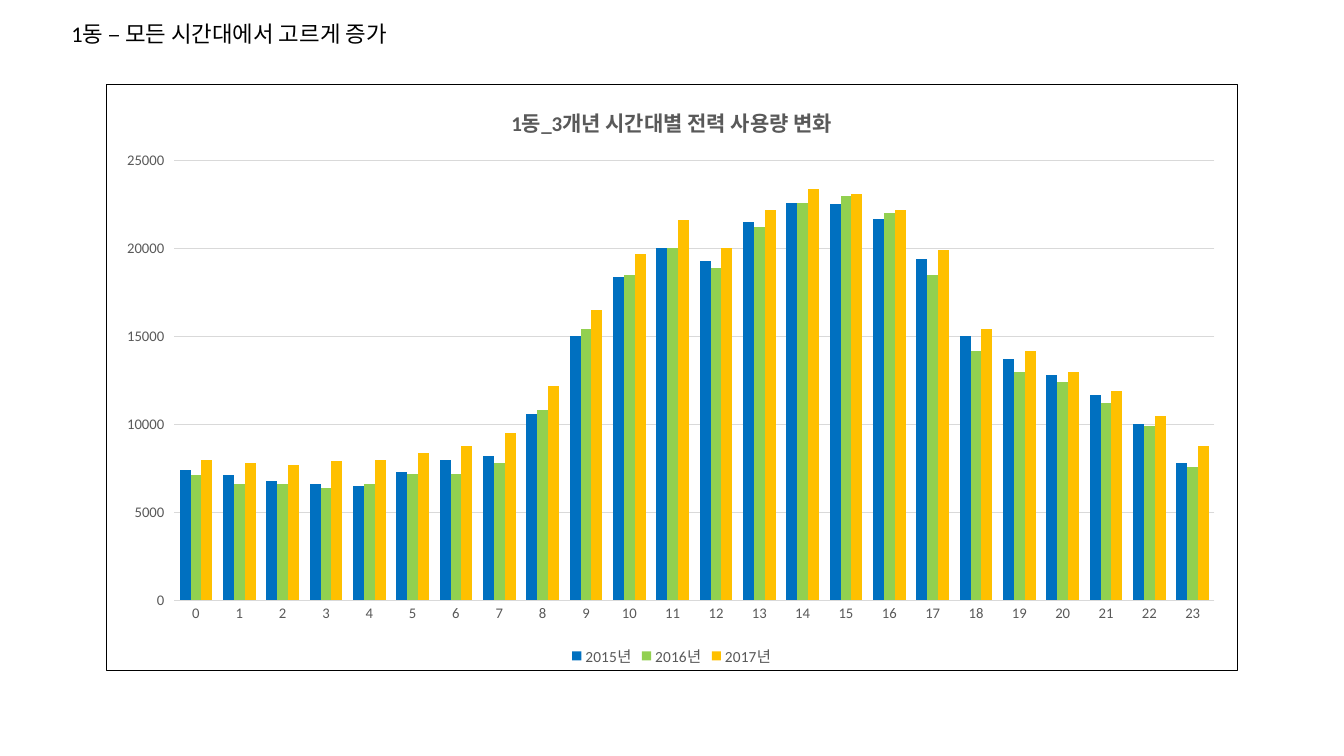
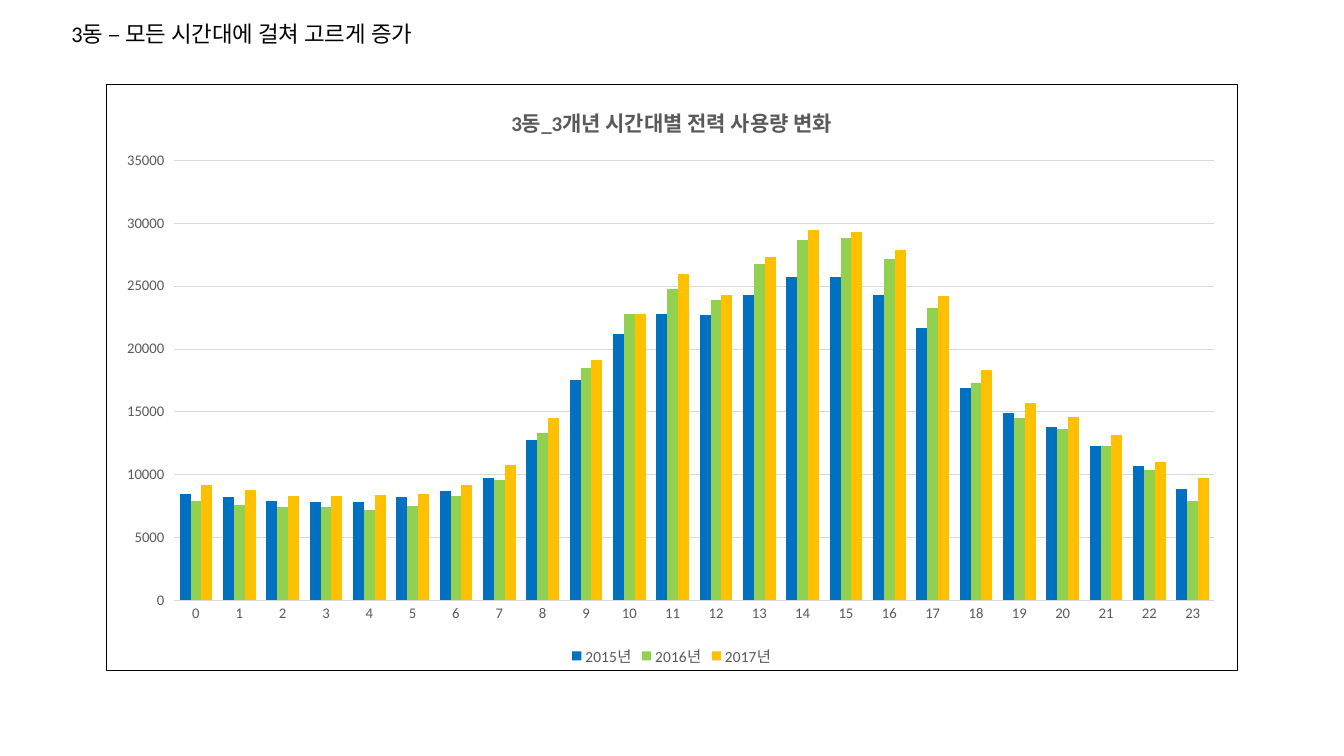
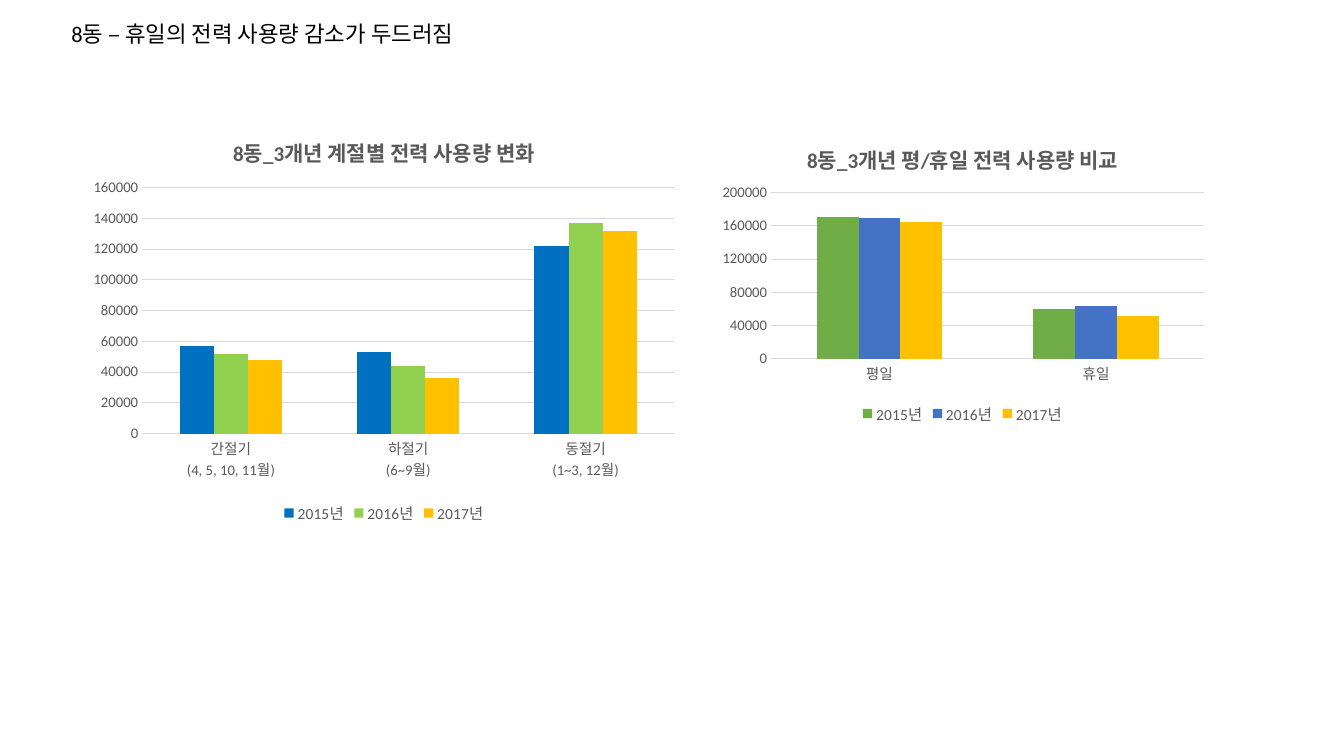
import lxml.etree
import pptx
import pptx.chart.data
import pptx.dml.color
import pptx.enum.chart
import pptx.enum.text
import pptx.oxml
import pptx.oxml.ns
import pptx.util

Cm = pptx.util.Cm
Pt = pptx.util.Pt
qn = pptx.oxml.ns.qn
TickMark = pptx.enum.chart.XL_TICK_MARK


def color(hex_text):
    return pptx.dml.color.RGBColor.from_string(hex_text)


def apply(target, values):
    for name, value in values.items():
        setattr(target, name, value)


class Deck:
    FACE = "Calibri"
    INK = "000000"
    GRAY = "595959"
    RULE = "D9D9D9"
    YEARS = ("2015년", "2016년", "2017년")
    YEAR_COLORS = ("0070C0", "92D050", "FFC000")

    def __init__(self):
        self.presentation = pptx.Presentation()
        apply(self.presentation, {"slide_width": Cm(33.87), "slide_height": Cm(19.05)})
        self.slide = None

    def style_font(self, font, size, ink, bold=False):
        apply(font, {"name": self.FACE, "size": Pt(size), "bold": bold})
        font.color.rgb = color(ink)

    def style_line(self, line):
        line.width = Pt(0.75)
        line.color.rgb = color(self.RULE)

    def add_slide(self, heading, heading_width):
        self.slide = self.presentation.slides.add_slide(self.presentation.slide_layouts[6])
        box = self.slide.shapes.add_textbox(Cm(1.55), Cm(0.38), Cm(heading_width), Cm(0.94))
        frame = box.text_frame
        apply(frame, {"word_wrap": False,
                      "auto_size": pptx.enum.text.MSO_AUTO_SIZE.SHAPE_TO_FIT_TEXT})
        run = frame.paragraphs[0].add_run()
        run.text = heading
        self.style_font(run.font, 16, self.INK)

    def add_usage_chart(self, place, title, categories, usage, plot_place, gap=219,
                        colors=YEAR_COLORS, tick=TickMark.NONE, step=None, border=None):
        chart_data = pptx.chart.data.CategoryChartData()
        chart_data.categories = categories
        for year, values in zip(self.YEARS, usage):
            chart_data.add_series(year, values)
        chart = self.slide.shapes.add_chart(
            pptx.enum.chart.XL_CHART_TYPE.COLUMN_CLUSTERED,
            *(Cm(length) for length in place), chart_data).chart
        self.style_font(chart.font, 10, self.INK)
        apply(chart, {"has_title": True, "has_legend": True})

        title_run = chart.chart_title.text_frame.paragraphs[0].add_run()
        title_run.text = title
        self.style_font(title_run.font, 15, self.GRAY, bold=True)

        apply(chart.legend, {"position": pptx.enum.chart.XL_LEGEND_POSITION.BOTTOM,
                             "include_in_layout": False})
        self.style_font(chart.legend.font, 11, self.GRAY)

        hours, power = chart.category_axis, chart.value_axis
        for axis in (hours, power):
            apply(axis, {"major_tick_mark": TickMark.NONE, "minor_tick_mark": TickMark.NONE})
            self.style_font(axis.tick_labels.font, 10.5, self.GRAY)
        self.style_line(hours.format.line)
        apply(power, {"major_tick_mark": tick, "has_major_gridlines": True,
                      "major_unit": step})
        power.format.line.fill.background()
        self.style_line(power.major_gridlines.format.line)

        plot = chart.plots[0]
        apply(plot, {"gap_width": gap, "overlap": 0, "vary_by_categories": False})
        for series, fill in zip(plot.series, colors):
            series.invert_if_negative = False
            series.format.fill.solid()
            series.format.fill.fore_color.rgb = color(fill)

        self.place_plot(chart, plot_place)
        self.frame_chart(chart, border)

    def place_plot(self, chart, plot_place):
        area = chart.element.find(qn("c:chart")).find(qn("c:plotArea"))
        for old in area.findall(qn("c:layout")):
            area.remove(old)
        layout = pptx.oxml.parse_xml(f"<c:layout {pptx.oxml.ns.nsdecls('c')}/>")
        area.insert(0, layout)
        manual = lxml.etree.SubElement(layout, qn("c:manualLayout"))
        settings = {"layoutTarget": "inner", "xMode": "edge", "yMode": "edge"}
        settings.update(zip("xywh", plot_place))
        for name, value in settings.items():
            lxml.etree.SubElement(manual, qn(f"c:{name}")).set("val", str(value))

    def frame_chart(self, chart, border):
        paint = "<a:noFill/>"
        if border:
            paint = f'<a:solidFill><a:srgbClr val="{border}"/></a:solidFill>'
        chart.element.find(qn("c:chart")).addnext(pptx.oxml.parse_xml(
            f"<c:spPr {pptx.oxml.ns.nsdecls('c', 'a')}><a:noFill/>"
            f'<a:ln w="{Pt(0.75)}">{paint}</a:ln></c:spPr>'))

    def add_hourly_slide(self, building, finding, heading_width, usage):
        self.add_slide(f"{building} – {finding}", heading_width)
        self.add_usage_chart(
            (2.67, 2.11, 28.52, 14.81), f"{building}_3개년 시간대별 전력 사용량 변화",
            [str(hour) for hour in range(24)], usage, (0.06, 0.13, 0.92, 0.75),
            gap=100, tick=TickMark.OUTSIDE, border=self.INK)


def main():
    deck = Deck()
    deck.add_hourly_slide("1동", "모든 시간대에서 고르게 증가", 9.14, [
        (7400, 7100, 6800, 6600, 6500, 7300, 8000, 8200, 10600, 15000, 18400, 20000,
         19300, 21500, 22600, 22500, 21700, 19400, 15000, 13700, 12800, 11700, 10000, 7800),
        (7100, 6600, 6600, 6400, 6600, 7200, 7200, 7800, 10800, 15400, 18500, 20000,
         18900, 21200, 22600, 23000, 22000, 18500, 14200, 13000, 12400, 11200, 9900, 7600),
        (8000, 7800, 7700, 7900, 8000, 8400, 8800, 9500, 12200, 16500, 19700, 21600,
         20000, 22200, 23400, 23100, 22200, 19900, 15400, 14200, 13000, 11900, 10500, 8800),
    ])
    deck.add_hourly_slide("3동", "모든 시간대에 걸쳐 고르게 증가", 9.83, [
        (8500, 8200, 7900, 7800, 7800, 8200, 8700, 9700, 12800, 17500, 21200, 22800,
         22700, 24300, 25700, 25700, 24300, 21700, 16900, 14900, 13800, 12300, 10700, 8900),
        (7900, 7600, 7400, 7400, 7200, 7500, 8300, 9600, 13300, 18500, 22800, 24800,
         23900, 26800, 28700, 28800, 27200, 23300, 17300, 14500, 13600, 12300, 10400, 7900),
        (9200, 8800, 8300, 8300, 8400, 8500, 9200, 10800, 14500, 19100, 22800, 26000,
         24300, 27300, 29500, 29300, 27900, 24200, 18300, 15700, 14600, 13200, 11000, 9700),
    ])
    deck.add_slide("8동 – 휴일의 전력 사용량 감소가 두드러짐", 10.97)
    deck.add_usage_chart(
        (17.91, 3.18, 12.7, 7.62), "8동_3개년 평/휴일 전력 사용량 비교", ["평일", "휴일"],
        [(171000, 60000), (169000, 64000), (165000, 51000)], (0.12, 0.22, 0.86, 0.55),
        colors=("70AD47", "4472C4", "FFC000"), step=40000)
    deck.add_usage_chart(
        (2.06, 2.97, 15.24, 10.34), "8동_3개년 계절별 전력 사용량 변화",
        ["간절기\n(4, 5, 10, 11월)", "하절기\n(6~9월)", "동절기\n(1~3, 12월)"],
        [(57000, 53000, 122000), (52000, 44000, 137000), (48000, 36000, 132000)],
        (0.1, 0.17, 0.88, 0.6))
    deck.presentation.save("out.pptx")


if __name__ == "__main__":
    main()
